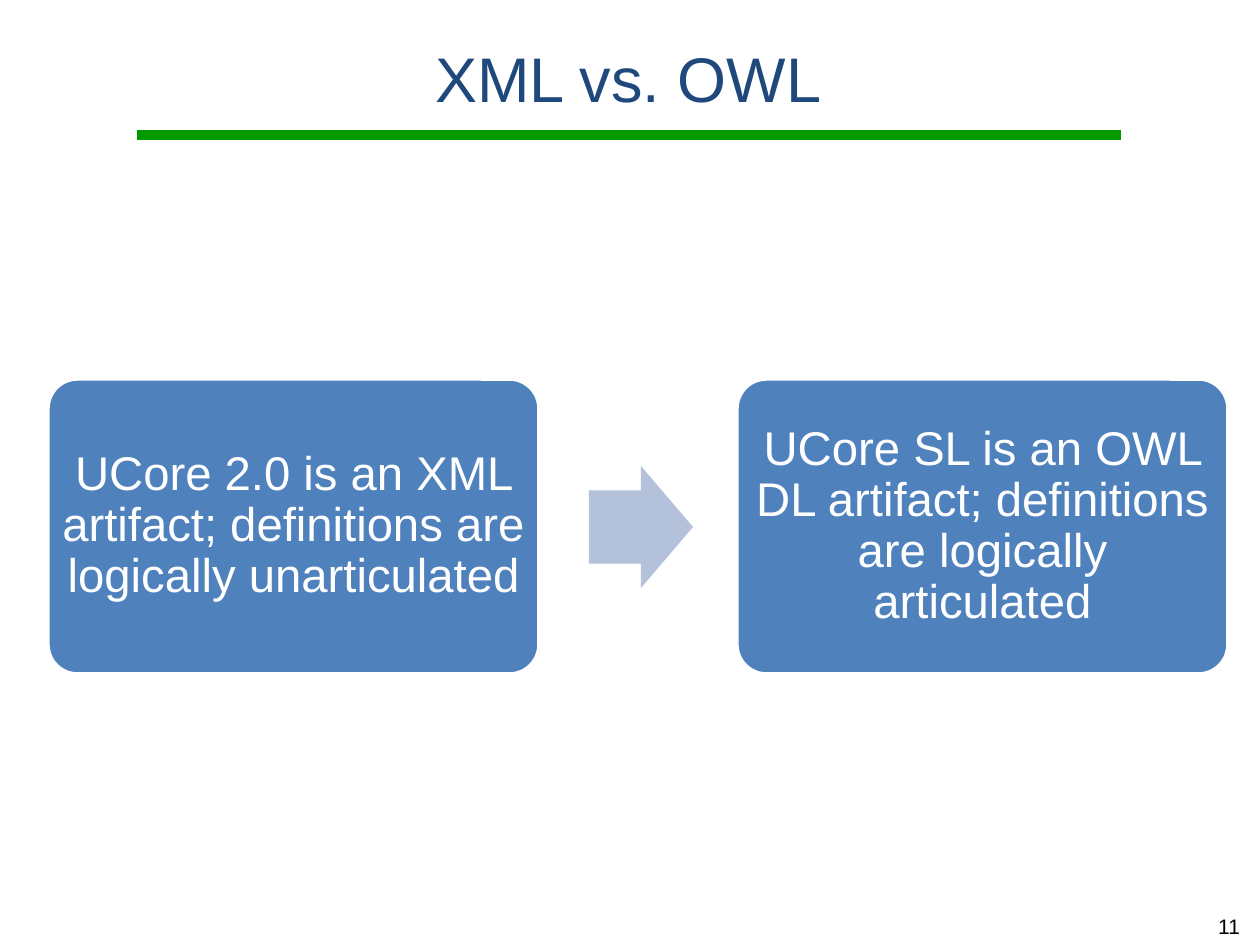
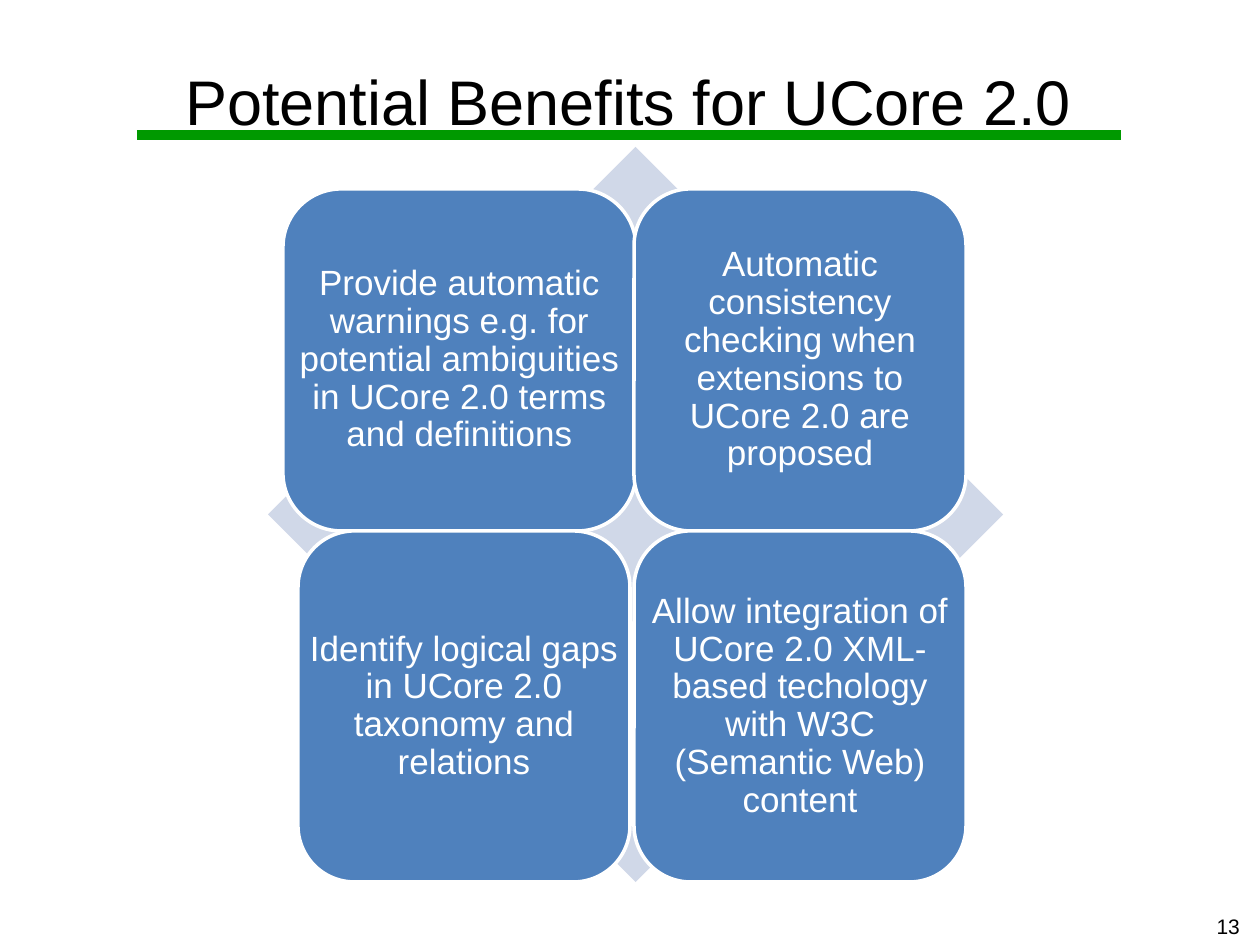
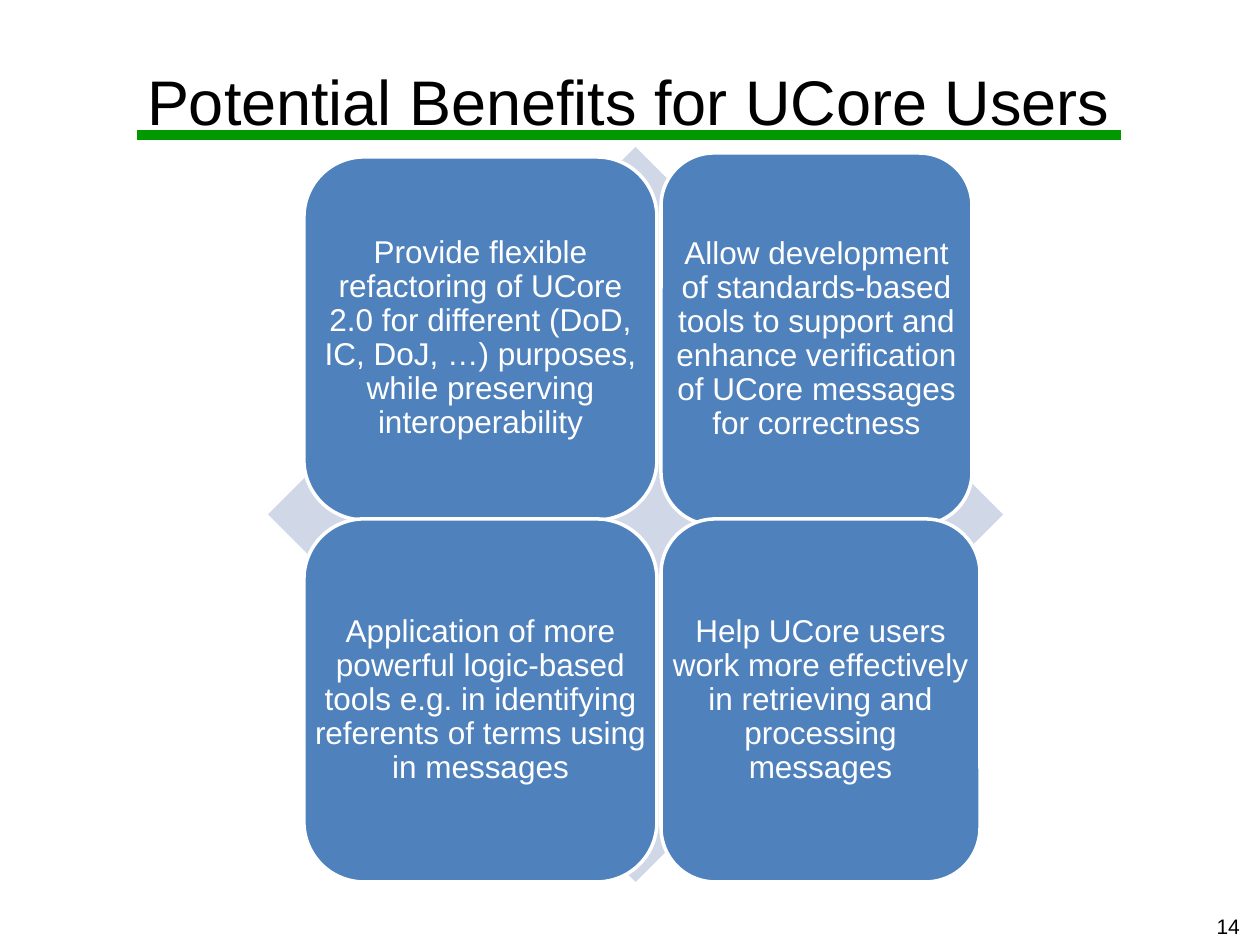
import pptx
import pptx.dml.color
import pptx.enum.shapes
import pptx.enum.text
import pptx.oxml.ns
import pptx.util
from lxml import etree

RGBColor = pptx.dml.color.RGBColor
SHAPE = pptx.enum.shapes.MSO_SHAPE
ALIGN = pptx.enum.text.PP_ALIGN
ANCHOR = pptx.enum.text.MSO_ANCHOR

NAVY = RGBColor(0x1F, 0x49, 0x7D)
BLUE = RGBColor(0x4F, 0x81, 0xBD)
ARROW_BLUE = RGBColor(0xB3, 0xC1, 0xDB)
PALE_BLUE = RGBColor(0xD0, 0xD8, 0xE8)
GREEN = RGBColor(0x00, 0x99, 0x00)
WHITE = RGBColor(0xFF, 0xFF, 0xFF)
BLACK = RGBColor(0x00, 0x00, 0x00)

FONT = "Arial"
PX_PER_INCH = 126
TITLE_ONLY = 5
BENEFIT_TITLE = (14, 21, 1229, 158)


def px(length):
    return pptx.util.Emu(round(length * 914400 / PX_PER_INCH))


def box(left, top, width, height):
    return px(left), px(top), px(width), px(height)


def write(frame, text, size, color, align, anchor, inset, line_spacing=None):
    frame.word_wrap = True
    frame.auto_size = pptx.enum.text.MSO_AUTO_SIZE.NONE
    frame.vertical_anchor = anchor
    frame.margin_left = frame.margin_right = px(inset)
    frame.margin_top = frame.margin_bottom = px(inset)
    paragraph = frame.paragraphs[0]
    paragraph.alignment = align
    if line_spacing:
        paragraph.line_spacing = line_spacing
    run = paragraph.add_run()
    run.text = text
    run.font.name = FONT
    run.font.size = pptx.util.Pt(size)
    run.font.color.rgb = color


def add_green_rule(slide):
    rule = slide.shapes.add_connector(
        pptx.enum.shapes.MSO_CONNECTOR.STRAIGHT, px(137), px(135), px(1121), px(135))
    rule.line.color.rgb = GREEN
    rule.line.width = pptx.util.Pt(6)
    properties = rule._element.spPr
    etree.SubElement(properties, pptx.oxml.ns.qn("a:effectLst"))


def add_titled_slide(deck, title, title_box, title_color, number):
    """Add a slide with the shared title style, green rule and slide number."""
    slide = deck.slides.add_slide(deck.slide_layouts[TITLE_ONLY])
    heading = slide.shapes.title
    heading.left, heading.top, heading.width, heading.height = box(*title_box)
    write(heading.text_frame, title, 36, title_color, ALIGN.CENTER, ANCHOR.MIDDLE, 6)
    add_green_rule(slide)
    page_number = slide.shapes.add_textbox(*box(963, 895, 290, 50))
    write(page_number.text_frame, str(number), 12, BLACK, ALIGN.RIGHT, ANCHOR.BOTTOM, 6)
    page_number.text_frame.margin_right = px(13)
    return slide


def add_filled(slide, preset, place, color):
    filled = slide.shapes.add_shape(preset, *box(*place))
    filled.shadow.inherit = False
    filled.fill.solid()
    filled.fill.fore_color.rgb = color
    filled.line.fill.background()
    return filled


def add_card(slide, text, place, size, inset, rounding=0.17):
    """Add a rounded card whose text may reach past the corner insets."""
    card = add_filled(slide, SHAPE.ROUNDED_RECTANGLE, place, BLUE)
    card.adjustments[0] = rounding
    card.line.color.rgb = WHITE
    card.line.width = pptx.util.Pt(2)
    caption = slide.shapes.add_textbox(*box(*place))
    write(caption.text_frame, text, size, WHITE, ALIGN.CENTER, ANCHOR.MIDDLE,
          inset, line_spacing=0.9)


def add_comparison(deck):
    slide = add_titled_slide(deck, "XML vs. OWL", (141, 21, 975, 112), NAVY, 11)
    statements = (
        "UCore 2.0 is an XML artifact; definitions are logically unarticulated",
        "UCore SL is an OWL DL artifact; definitions are logically articulated",
    )
    for column, statement in enumerate(statements):
        add_card(slide, statement, (48 + column * 689, 379, 491, 295), 27, 13, rounding=0.1)
    arrow = add_filled(slide, SHAPE.RIGHT_ARROW, (589, 466, 104, 122), ARROW_BLUE)
    arrow.adjustments[0] = 0.6
    arrow.adjustments[1] = 0.5


def add_benefits(deck, title, number, size, benefits):
    slide = add_titled_slide(deck, title, BENEFIT_TITLE, BLACK, number)
    add_filled(slide, SHAPE.DIAMOND, (268, 147, 735, 735), PALE_BLUE)
    for text, place in benefits:
        add_card(slide, text, place, size, 10)


def main():
    deck = pptx.Presentation()
    deck.slide_width, deck.slide_height = px(1260), px(945)
    add_comparison(deck)
    add_benefits(deck, "Potential Benefits for UCore 2.0", 13, 20, (
        ("Provide automatic warnings e.g. for potential ambiguities in UCore 2.0 "
         "terms and definitions", (283, 189, 353, 342)),
        ("Automatic consistency checking when extensions to UCore 2.0 are proposed",
         (634, 189, 332, 342)),
        ("Identify logical gaps in UCore 2.0 taxonomy and relations",
         (298, 531, 332, 351)),
        ("Allow integration of UCore 2.0 XML-based techology with W3C "
         "(Semantic Web) content", (634, 531, 332, 351)),
    ))
    add_benefits(deck, "Potential Benefits for UCore Users", 14, 18, (
        ("Provide flexible refactoring of UCore 2.0 for different (DoD, IC, DoJ, …) "
         "purposes, while preserving interoperability", (304, 157, 353, 363)),
        ("Allow development of standards-based tools to support and enhance "
         "verification of UCore messages for correctness", (661, 153, 311, 372)),
        ("Application of more powerful logic-based tools e.g. in identifying "
         "referents of terms using in messages", (304, 519, 353, 363)),
        ("Help UCore users work more effectively in retrieving and processing messages",
         (661, 519, 319, 363)),
    ))
    deck.save("out.pptx")


if __name__ == "__main__":
    main()
